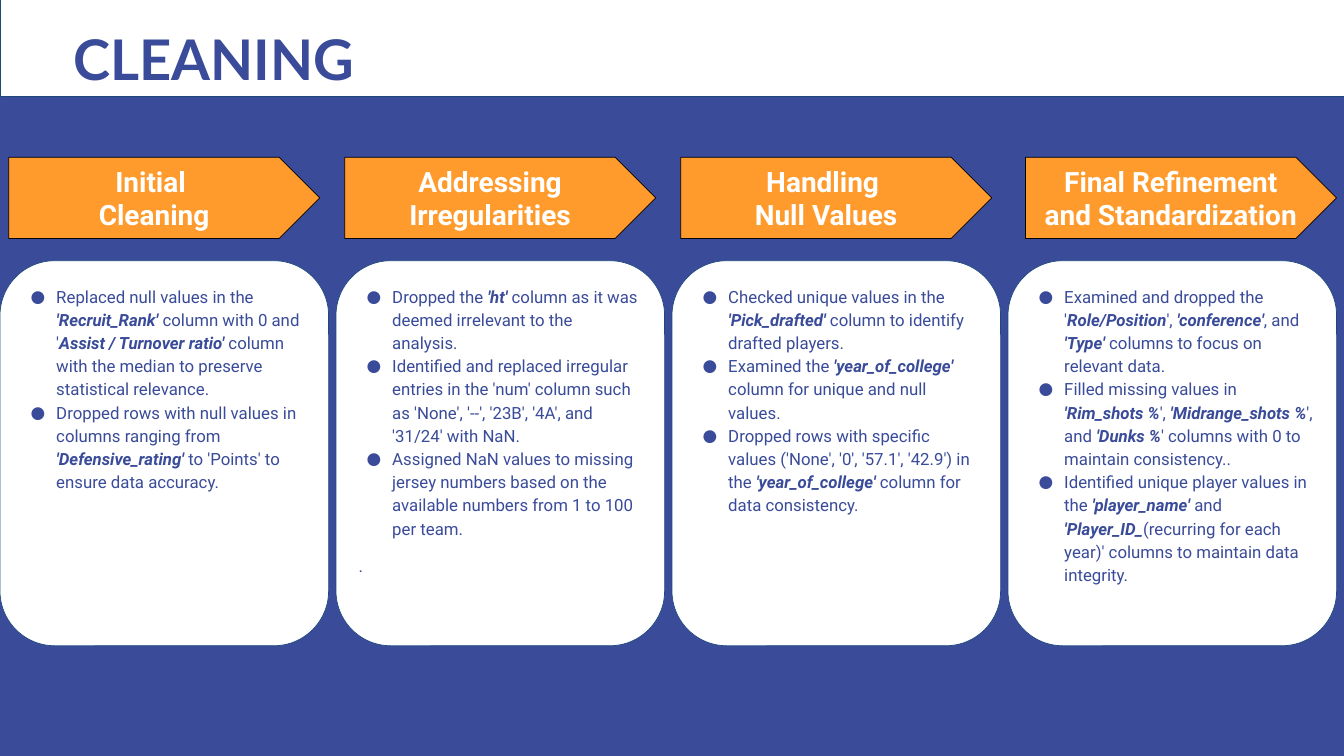
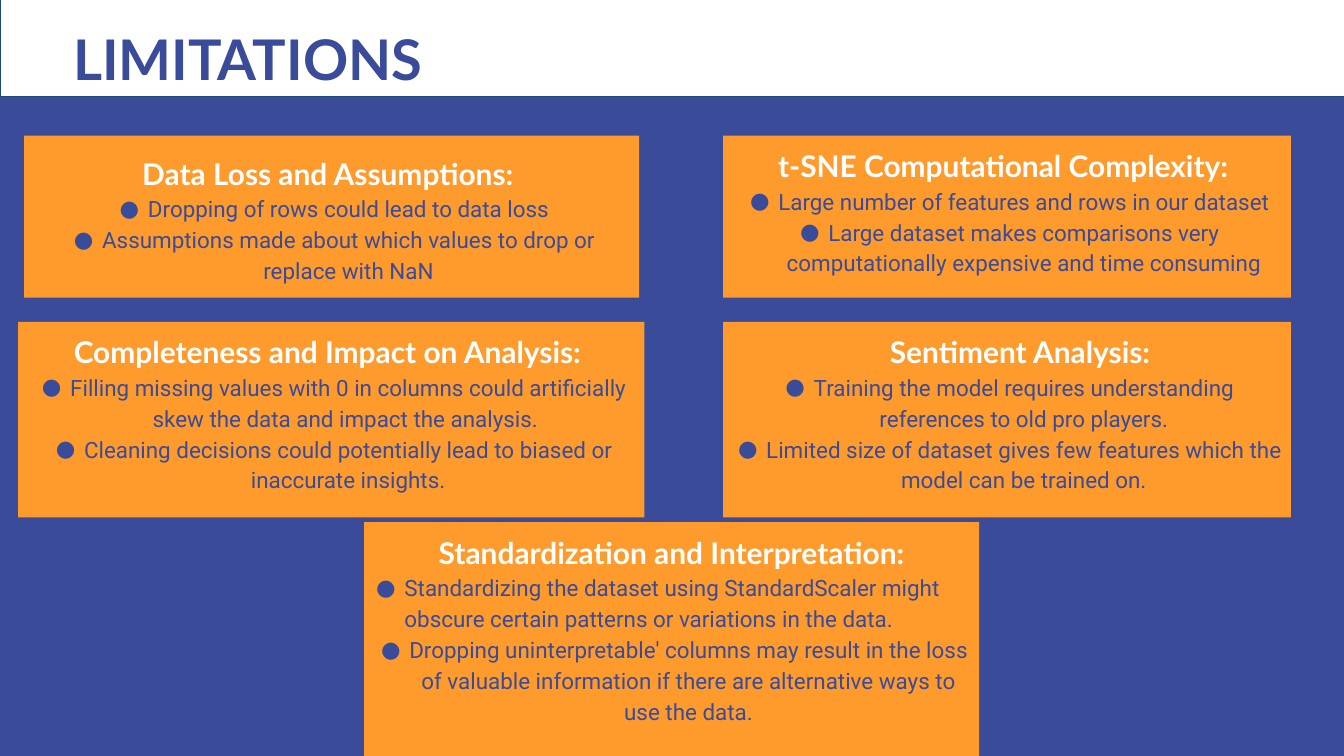
from lxml import etree
from pptx import Presentation
from pptx.dml.color import RGBColor
from pptx.enum.shapes import MSO_SHAPE
from pptx.enum.text import MSO_ANCHOR, MSO_AUTO_SIZE, PP_ALIGN
from pptx.oxml.ns import qn
from pptx.util import Inches, Pt

# Shared look
INDIGO = RGBColor(0x39, 0x4B, 0x99)
ORANGE = RGBColor(0xFF, 0x9B, 0x2C)
NAVY = RGBColor(0x1F, 0x49, 0x7D)
WHITE = RGBColor(0xFF, 0xFF, 0xFF)
BLACK = RGBColor(0x00, 0x00, 0x00)
HEADING_FONT = "Lato"
BODY_FONT = "Roboto"

RECTANGLE = MSO_SHAPE.RECTANGLE
ROUNDED = MSO_SHAPE.ROUNDED_RECTANGLE
PENTAGON = MSO_SHAPE.PENTAGON
TOP, MIDDLE = MSO_ANCHOR.TOP, MSO_ANCHOR.MIDDLE
LEFT, CENTER = PP_ALIGN.LEFT, PP_ALIGN.CENTER

COLUMN_STEP = 5
LINE_SPACING = 1.15

# Cleaning steps: arrow left, arrow lines, bullets (*...* is bold italic), closing line
STEPS = [
    (0.13, ["Initial ", "Cleaning"], [
        "Replaced null values in the *'Recruit_Rank'* column with 0 and '*Assist / Turnover ratio'* "
        "column with the median to preserve statistical relevance.",
        "Dropped rows with null values in columns ranging from *'Defensive_rating'* to 'Points' "
        "to ensure data accuracy.",
    ], None),
    (5.13, ["Addressing Irregularities"], [
        "Dropped the *'ht'* column as it was deemed irrelevant to the analysis.",
        "Identified and replaced irregular entries in the 'num' column such as 'None', '--', "
        "'23B', '4A', and '31/24' with NaN.",
        "Assigned NaN values to missing jersey numbers based on the available numbers "
        "from 1 to 100 per team.",
    ], "."),
    (10.13, ["Handling ", "Null Values"], [
        "Checked unique values in the *'Pick_drafted'* column to identify drafted players.",
        "Examined the *'year_of_college'* column for unique and null values.",
        "Dropped rows with specific values ('None', '0', '57.1', '42.9') in the "
        "*'year_of_college'* column for data consistency.",
    ], None),
    (15.26, ["Final Refinement and Standardization"], [
        "Examined and dropped the '*Role/Position*', *'conference'*, and *'Type'* columns "
        "to focus on relevant data.",
        "Filled missing values in *'Rim_shots %*', *'Midrange_shots %*', and *'Dunks %*' "
        "columns with 0 to maintain consistency..",
        "Identified unique player values in the *'player_name'* and *'Player_ID_*(recurring for "
        "each year)' columns to maintain data integrity.",
    ], None),
]

# Limitations: box, anchor, heading, heading indent, bullets with alignment
LIMITATIONS = [
    ((0.36, 2.02, 9.15, 2.41), MIDDLE, "Data Loss and Assumptions: ", 0, [
        ("Dropping of rows could lead to data loss", CENTER),
        ("Assumptions made about which values to drop or replace with NaN", CENTER),
    ]),
    ((10.76, 2.02, 8.45, 2.41), TOP, "t-SNE Computational Complexity: ", 0, [
        ("Large number of features and rows in our dataset", CENTER),
        ("Large dataset makes comparisons very computationally expensive and time consuming", CENTER),
    ]),
    ((0.27, 4.79, 9.32, 2.91), TOP, "Completeness and Impact on Analysis: ", 0, [
        ("Filling missing values with 0 in columns could artificially skew the data and impact "
         "the analysis. ", CENTER),
        ("Cleaning decisions could potentially lead to biased or inaccurate insights.", CENTER),
    ]),
    ((10.76, 4.79, 8.45, 2.91), TOP, "Sentiment Analysis: ", 0.5, [
        ("Training the model requires understanding references to old pro players.", CENTER),
        ("Limited size of dataset gives few features which the model can be trained on.", CENTER),
    ]),
    ((5.42, 7.77, 9.15, 3.48), TOP, "Standardization and Interpretation:", 0, [
        ("Standardizing the dataset using StandardScaler might obscure certain patterns or "
         "variations in the data.", LEFT),
        ("Dropping uninterpretable' columns may result in the loss of valuable information if "
         "there are alternative ways to use the data.", CENTER),
    ]),
]


def set_frame(shape, inset=0.1, anchor=TOP):
    frame = shape.text_frame
    frame.word_wrap = True
    frame.vertical_anchor = anchor
    frame.margin_left = frame.margin_right = Inches(inset)
    frame.margin_top = frame.margin_bottom = Inches(inset)
    return frame


def add_box(slide, kind, box, fill, line=None):
    shape = slide.shapes.add_shape(kind, *map(Inches, box))
    shape.shadow.inherit = False
    shape.fill.solid()
    shape.fill.fore_color.rgb = fill
    if line is None:
        shape.line.fill.background()
    else:
        shape.line.color.rgb = line
        shape.line.width = Pt(0.75)
    return shape


def set_font(paragraph, name, size, color, bold=False):
    font = paragraph.font
    font.name, font.size, font.bold = name, Pt(size), bold
    font.color.rgb = color


def add_paragraph(frame, text, align=LEFT, spacing=None, before=0):
    """Fill the first empty paragraph or add one; *...* becomes bold italic."""
    first = frame.paragraphs[0]
    paragraph = frame.add_paragraph() if first.runs else first
    paragraph.alignment = align
    paragraph.space_before = Pt(before)
    if spacing:
        paragraph.line_spacing = spacing
    for index, part in enumerate(text.split("*")):
        if part:
            run = paragraph.add_run()
            run.text = part
            if index % 2:
                run.font.bold = run.font.italic = True
    return paragraph


def set_indent(paragraph, left, first_line=0.0):
    properties = paragraph._p.get_or_add_pPr()
    properties.set("marL", str(Inches(left)))
    properties.set("indent", str(Inches(first_line)))
    return properties


def add_bullet(frame, text, size, hang, align=LEFT, before=0):
    paragraph = add_paragraph(frame, text, align, LINE_SPACING, before)
    properties = set_indent(paragraph, 0.5, -hang)
    color = etree.SubElement(properties, qn("a:buClr"))
    etree.SubElement(color, qn("a:srgbClr"), val=str(INDIGO))
    etree.SubElement(properties, qn("a:buFont"), typeface=BODY_FONT)
    etree.SubElement(properties, qn("a:buChar"), char="●")
    set_font(paragraph, BODY_FONT, size, INDIGO)


def add_slide(presentation):
    slide = presentation.slides.add_slide(presentation.slide_layouts[6])
    background = slide.background.fill
    background.solid()
    background.fore_color.rgb = INDIGO
    return slide


def add_title(slide, text):
    add_box(slide, RECTANGLE, (0, -0.07, 20, 1.5), WHITE, NAVY)
    title = slide.shapes.add_textbox(*map(Inches, (0.99, 0.27, 9.02, 1.21)))
    frame = set_frame(title)
    frame.auto_size = MSO_AUTO_SIZE.SHAPE_TO_FIT_TEXT
    set_font(add_paragraph(frame, text), HEADING_FONT, 60, INDIGO, bold=True)


def add_step_card(slide, left, bullets, closing):
    card = add_box(slide, ROUNDED, (left, 3.88, 4.89, 5.73), WHITE, NAVY)
    frame = set_frame(card)
    for index, text in enumerate(bullets):
        add_bullet(frame, text, 18, 0.38, before=0 if index else 15)
    if closing:
        paragraph = add_paragraph(frame, closing, LEFT, LINE_SPACING, 15)
        set_font(paragraph, BODY_FONT, 18, INDIGO)


def add_step_arrow(slide, left, lines):
    arrow = add_box(slide, PENTAGON, (left, 2.34, 4.63, 1.21), ORANGE, BLACK)
    frame = set_frame(arrow, 0.2, MIDDLE)
    for line in lines:
        set_font(add_paragraph(frame, line, CENTER), BODY_FONT, 30, WHITE, bold=True)


def add_limitation(slide, box, anchor, heading, indent, bullets):
    frame = set_frame(add_box(slide, RECTANGLE, box, ORANGE), anchor=anchor)
    paragraph = add_paragraph(frame, heading, CENTER, LINE_SPACING)
    set_indent(paragraph, indent)
    set_font(paragraph, HEADING_FONT, 32, WHITE, bold=True)
    for text, align in bullets:
        add_bullet(frame, text, 24, 0.42, align)


def main():
    presentation = Presentation()
    presentation.slide_width = Inches(20)
    presentation.slide_height = Inches(11.25)

    # Cleaning
    slide = add_slide(presentation)
    for column, (arrow_left, lines, bullets, closing) in enumerate(STEPS):
        add_step_card(slide, column * COLUMN_STEP, bullets, closing)
        add_step_arrow(slide, arrow_left, lines)
    add_title(slide, "CLEANING")

    # Limitations
    slide = add_slide(presentation)
    for limitation in LIMITATIONS:
        add_limitation(slide, *limitation)
    add_title(slide, "LIMITATIONS")

    presentation.save("out.pptx")


if __name__ == "__main__":
    main()
